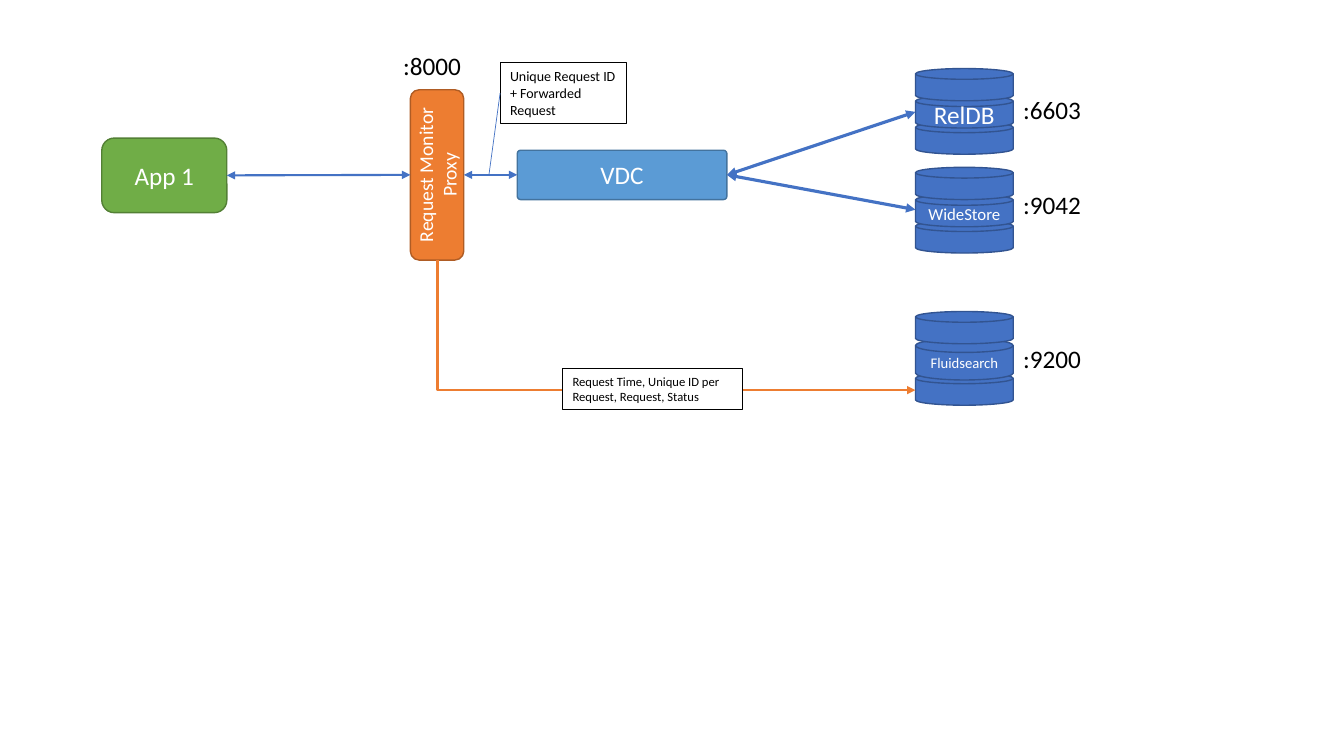
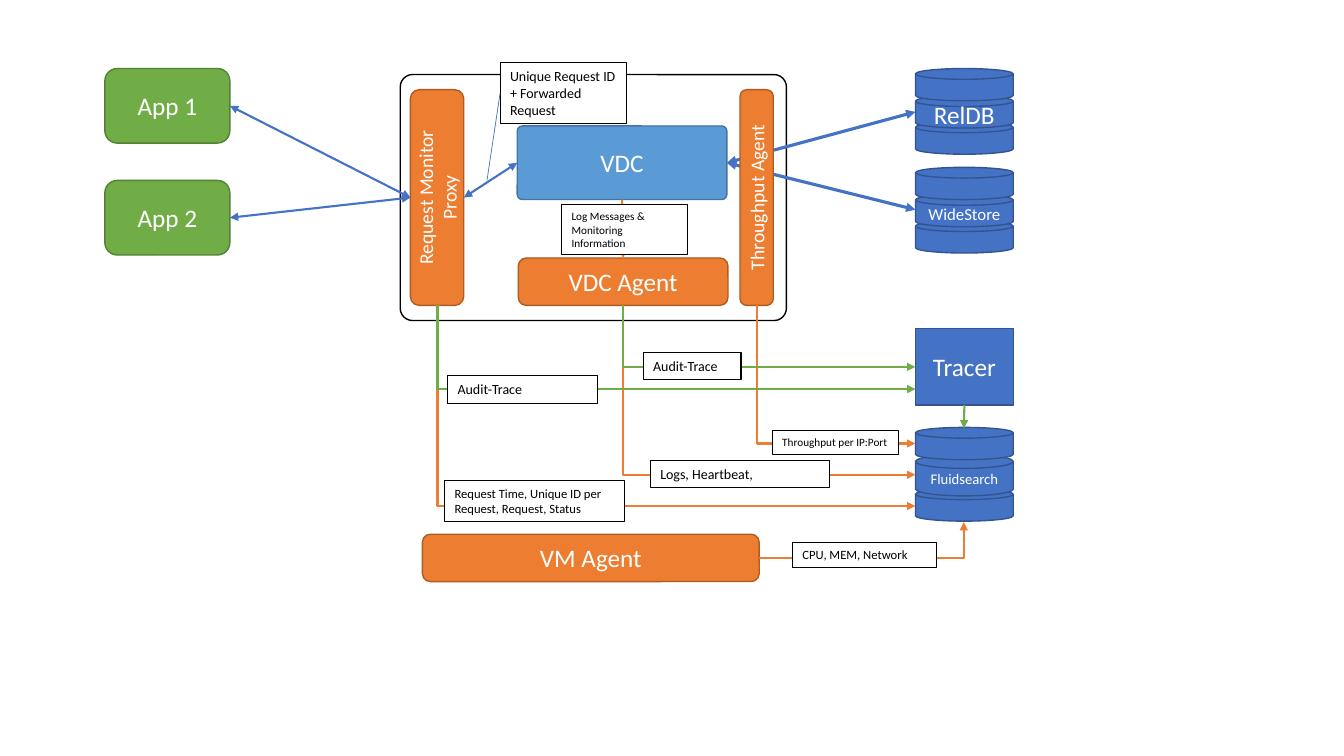
from lxml import etree
from pptx import Presentation
from pptx.dml.color import RGBColor
from pptx.enum import shapes as kinds, text as modes
from pptx.oxml.ns import qn
from pptx.util import Inches, Pt

# Shared look: fill and outline pairs, line colours, font
BLUE = ("4472C4", "325491")
SKY = ("5B9BD5", "43739E")
ORANGE = ("ED7D31", "AF5C24")
GREEN = ("70AD47", "538035")
WHITE = ("FFFFFF", "000000")
FONT = "Calibri"
hue = RGBColor.from_string
RECT = kinds.MSO_SHAPE.RECTANGLE
ROUND = kinds.MSO_SHAPE.ROUNDED_RECTANGLE
DISK = kinds.MSO_SHAPE.FLOWCHART_MAGNETIC_DISK


def box(tree, kind, place, look, text="", size=18, adj=None, turn=False):
    """Add a shape; white ones are labels with left-aligned dark text."""
    shape = tree.add_shape(kind, *[Inches(n) for n in place])
    label = look == WHITE
    shape.shadow.inherit = False
    shape.fill.solid()
    shape.fill.fore_color.rgb = hue(look[0])
    shape.line.color.rgb = hue(look[1])
    shape.line.width = Pt(0.75 if label and text else 1)
    if adj is not None:
        shape.adjustments[0] = adj
    frame = shape.text_frame
    frame.text = text
    frame.word_wrap = True
    anchor = modes.MSO_ANCHOR
    frame.vertical_anchor = anchor.TOP if label else anchor.MIDDLE
    if turn:
        shape.element.txBody.find(qn("a:bodyPr")).set("vert", "vert270")
    for para in frame.paragraphs:
        align = modes.PP_ALIGN
        para.alignment = align.LEFT if label else align.CENTER
        para.font.name, para.font.size = FONT, Pt(size)
        para.font.color.rgb = hue("000000" if label else "FFFFFF")
    return shape


def link(page, start, end, color, width=1.5, ends=("tailEnd",), bend=None):
    """Join two ends, each a point or a (shape, site) pair."""
    joins = [hasattr(spot[0], "left") for spot in (start, end)]
    x1, y1 = (0, 0) if joins[0] else start
    x2, y2 = (0, 0) if joins[1] else end
    if bend == "down":  # a quarter turn about the centre, so the path drops first
        midx, midy = (x1 + x2) / 2, (y1 + y2) / 2
        dx, dy = (x2 - x1) / 2, (y2 - y1) / 2
        x1, y1, x2, y2 = midx + dy, midy - dx, midx - dy, midy + dx
    style = kinds.MSO_CONNECTOR.ELBOW if bend else kinds.MSO_CONNECTOR.STRAIGHT
    line = page.shapes.add_connector(style, *[Inches(n) for n in (x1, y1, x2, y2)])
    if joins[0]:
        line.begin_connect(*start)
    if joins[1]:
        line.end_connect(*end)
    line.line.color.rgb = hue(color)
    line.line.width = Pt(width)
    props = line.element.spPr
    if bend:
        props.find(qn("a:prstGeom")).set("prst", "bentConnector2")
    if bend == "down":
        props.find(qn("a:xfrm")).set("rot", "16200000")
    for tip in ends:
        etree.SubElement(props.find(qn("a:ln")), qn("a:" + tip), type="triangle")
    etree.SubElement(props, qn("a:effectLst"))


deck = Presentation()
deck.slide_width, deck.slide_height = Inches(13.33), Inches(7.5)
BOTH = ("headEnd", "tailEnd")
pages = []

# Parts both slides share: proxy height, VDC top and height, search top, callout tip, apps
plans = [
    (1.69, 1.49, 0.49, 3.09, (4.85, 1.73), [("App 1", 1.01, 1.37)]),
    (2.14, 1.25, 0.73, 4.24, (4.83, 1.79), [("App 1", 1.04, 0.68), ("App 2", 1.04, 1.79)]),
]
for tall, top, high, low, tip, apps in plans:
    page = deck.slides.add_slide(deck.slide_layouts[6])
    tree = page.shapes
    if pages:
        box(tree, ROUND, (3.97, 0.74, 3.83, 2.44), WHITE, adj=0.05)
    vdc = box(tree, ROUND, (5.13, top, 2.08, high), SKY, "VDC", adj=0.07)
    proxy = box(tree, ROUND, (4.07, 0.89, 0.53, tall), ORANGE,
                "Request Monitor\nProxy", 14, turn=True)

    # Stacks of three disks, built from the bottom up
    for name, y, size, step, mid in [("RelDB", 0.68, 18, 0.53, 0.32),
                                     ("WideStore", 1.66, 12, 0.53, 0.32),
                                     ("Fluidsearch", low, 10.5, 0.61, 0.41)]:
        stack = tree.add_group_shape().shapes
        for drop, deep, word in [(step, 0.32, ""), (0.27, mid, name), (0, 0.32, "")]:
            box(stack, DISK, (9.08, y + drop, 0.97, deep), BLUE, word, size)

    # Request traffic
    link(page, (proxy, 3), (vdc, 1), BLUE[0], ends=BOTH)
    for y in (1.11, 2.08):
        link(page, (vdc, 3), (9.08, y), BLUE[0], 2.25, BOTH)
    for name, x, y in apps:
        app = box(tree, ROUND, (x, y, 1.24, 0.74), GREEN, name)
        link(page, (app, 3), (proxy, 1), BLUE[0], ends=BOTH)
    note = box(tree, RECT, (4.96, 0.62, 1.25, 0.61), WHITE,
               "Unique Request ID + Forwarded Request", 10)
    link(page, (note, 1), tip, BLUE[0], 0.5, ())
    pages.append((page, vdc))

# Slide 1: request log and port numbers
REQUEST = "Request Time, Unique ID per Request, Request, Status"
page = pages[0][0]
link(page, (4.34, 2.58), (9.08, 3.87), ORANGE[0], bend="down")
box(page.shapes, RECT, (5.58, 3.66, 1.78, 0.4), WHITE, REQUEST, 9)
for port, x, y in [(":6603", 10.05, 0.89), (":9042", 10.05, 1.83),
                   (":9200", 10.05, 3.36), (":8000", 3.9, 0.45)]:
    frame = page.shapes.add_textbox(*[Inches(n) for n in (x, y, 0.78, 0.4)]).text_frame
    frame.text = port
    frame.word_wrap = False
    font = frame.paragraphs[0].font
    font.name, font.size = FONT, Pt(18)
    font.color.rgb = hue("000000")

# Slide 2: agents and tracer
page, vdc = pages[1]
tree = page.shapes
agent = box(tree, ROUND, (5.14, 2.56, 2.08, 0.47), ORANGE, "VDC Agent")
box(tree, ROUND, (4.19, 5.3, 3.34, 0.47), ORANGE, "VM Agent")
box(tree, ROUND, (7.34, 0.89, 0.33, 2.14), ORANGE, "Throughput Agent", 14, 0.2, True)
tracer = box(tree, RECT, (9.08, 3.26, 0.97, 0.76), BLUE, "Tracer")

# Slide 2: monitoring flows
link(page, (7.53, 5.54), (9.56, 5.18), ORANGE[0], bend="up")
for x, y, look in [(7.51, 4.4, ORANGE), (6.18, 4.71, ORANGE), (4.34, 5.02, ORANGE),
                   (6.18, 3.64, GREEN), (4.34, 3.86, GREEN)]:
    link(page, (x, 3.03), (9.08, y), look[0], bend="down")
link(page, (vdc, 2), (agent, 0), ORANGE[0])
link(page, (tracer, 2), (9.56, 4.25), GREEN[0])

# Slide 2: flow labels
for text, size, *place in [
    (REQUEST, 9, 4.41, 4.77, 1.78, 0.4),
    ("Logs, Heartbeat,", 10, 6.45, 4.57, 1.78, 0.27),
    ("Throughput per IP:Port", 8, 7.66, 4.27, 1.25, 0.24),
    ("Log Messages & Monitoring Information", 8, 5.57, 2.03, 1.25, 0.5),
    ("CPU, MEM, Network", 9, 7.86, 5.38, 1.43, 0.25),
    ("Audit-Trace", 10, 4.44, 3.73, 1.49, 0.27),
    ("Audit-Trace", 10, 6.38, 3.5, 0.97, 0.27),
]:
    box(tree, RECT, place, WHITE, text, size)

deck.save("out.pptx")
